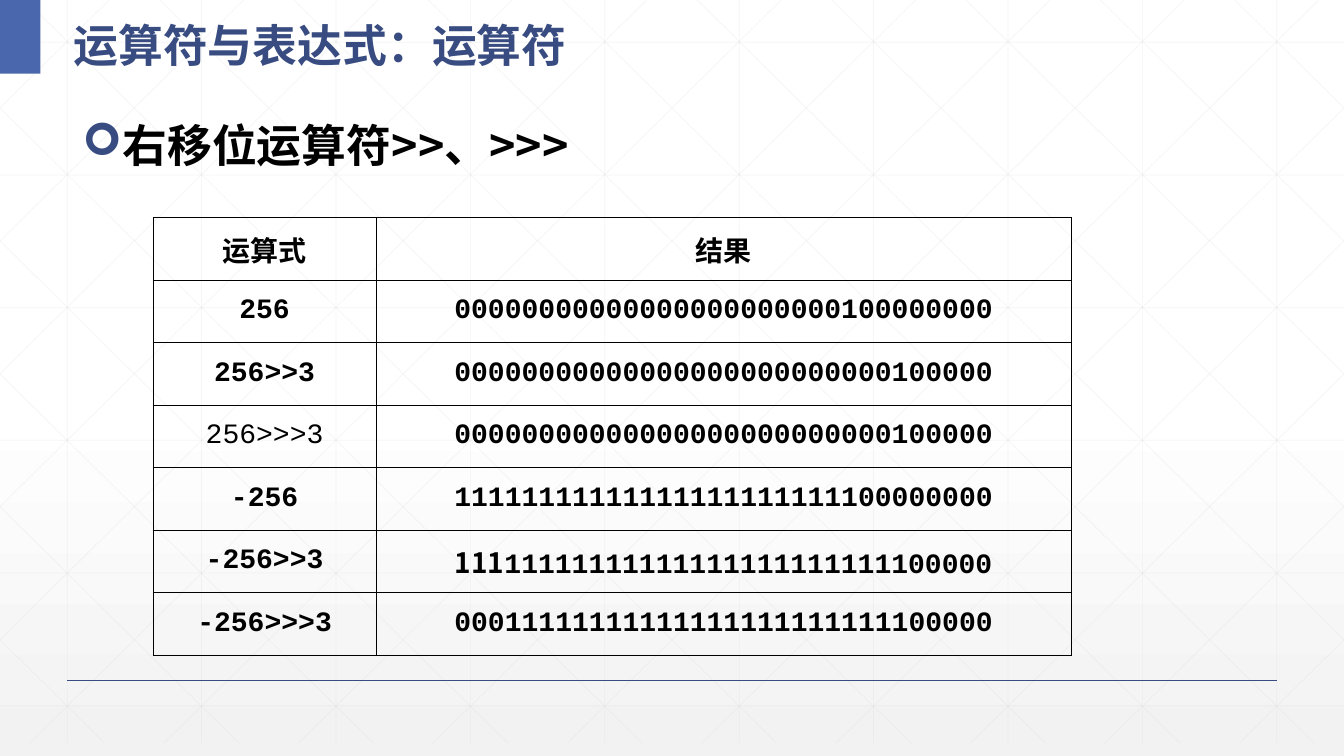
from lxml import etree
from pptx import Presentation
from pptx import util as u
from pptx.dml import color as clr
from pptx.enum import shapes, text
from pptx.oxml import ns

# The slide is a grid of 100 columns by 100 rows
WIDE, HIGH = u.Inches(13.33), u.Inches(7.5)
HUES = {"navy": "384C81", "blue": "4A66AC", "black": "000000",
        "white": "FFFFFF", "pale": "F2F2F2", "mesh": "D9D9D9"}
SANS, MONO = "Noto Sans CJK SC", "Courier New"
FOOT = 98.3  # row where the mesh ends
ROWS = [
    ("运算式", "结果"),
    ("256", "00000000000000000000000100000000"),
    ("256>>3", "00000000000000000000000000100000"),
    ("256>>>3", "00000000000000000000000000100000"),
    ("-256", "11111111111111111111111100000000"),
    ("-256>>3", "11111111111111111111111111100000"),
    ("-256>>>3", "00011111111111111111111111100000"),
]


def col(n):
    return int(WIDE * n / 100)


def row(n):
    return int(HIGH * n / 100)


def hue(name):
    return clr.RGBColor.from_string(HUES[name])


def add(parent, tag, **attrs):
    node = etree.SubElement(parent, ns.qn(tag))
    for key, val in attrs.items():
        node.set(key, str(val))
    return node


def style(run, size, face, tint="black", bold=True):
    font = run.font
    font.size, font.name, font.bold = u.Pt(size), face, bold
    font.color.rgb = hue(tint)
    add(run._r.get_or_add_rPr(), "a:ea", typeface=face)


def draw_line(slide, x1, y1, x2, y2, tint, width, alpha=None):
    line = slide.shapes.add_connector(
        shapes.MSO_CONNECTOR.STRAIGHT, col(x1), row(y1), col(x2), row(y2))
    line.line.color.rgb = hue(tint)
    line.line.width = u.Pt(width)
    if alpha:
        shade = line._element.spPr.find(".//" + ns.qn("a:srgbClr"))
        add(shade, "a:alpha", val=alpha * 1000)
    add(line._element.spPr, "a:effectLst")


def draw_mesh(slide):
    lines = [(5 + 10 * k, 0, 5 + 10 * k, FOOT) for k in range(10)]
    lines += [(0, 5.6 + 17.55 * k, 100, 5.6 + 17.55 * k) for k in range(6)]
    # Diagonals, cut at the slide's sides, each with its mirror
    run = 55.9
    slope = FOOT / run
    for k in range(-5, 10):
        top = 1.88 + 10 * k
        x1, x2 = max(top, 0), min(top + run, 100)
        y1, y2 = (x1 - top) * slope, (x2 - top) * slope
        lines += [(x1, y1, x2, y2), (100 - x1, y1, 100 - x2, y2)]
    for ends in lines:
        draw_line(slide, *ends, "mesh", 0.5, 25)


def paint_back(slide):
    fill = slide.background.fill
    fill.gradient()
    fill.gradient_angle = 270
    for stop, spot, tint in zip(fill.gradient_stops, (0.53, 1), ("white", "pale")):
        stop.position, stop.color.rgb = spot, hue(tint)


def add_text(slide, x, y, w, h, words, tint, anchor):
    box = slide.shapes.add_textbox(col(x), row(y), col(w), row(h))
    frame = box.text_frame
    frame.word_wrap = True
    frame.vertical_anchor = anchor
    frame.text = words
    para = frame.paragraphs[0]
    style(para.runs[0], 32, SANS, tint)
    return para


def add_bullet(para, mark, tint):
    props = para._p.get_or_add_pPr()
    inset = u.Inches(0.25)
    props.set("marL", str(inset))
    props.set("indent", str(-inset))
    add(add(props, "a:buClr"), "a:srgbClr", val=HUES[tint])
    add(props, "a:buFont", typeface="Wingdings")
    add(props, "a:buChar", char=mark)


def add_edges(cell):
    props = cell._tc.get_or_add_tcPr()
    for side in ("a:lnL", "a:lnR", "a:lnT", "a:lnB"):
        edge = add(props, side, w=u.Pt(0.5))
        add(add(edge, "a:solidFill"), "a:srgbClr", val=HUES["black"])


def fill_cell(cell, words, face, bold, lead):
    add_edges(cell)
    cell.fill.background()
    cell.vertical_anchor = text.MSO_ANCHOR.MIDDLE
    para = cell.text_frame.paragraphs[0]
    para.alignment = text.PP_ALIGN.CENTER
    add(add(para._p.get_or_add_pPr(), "a:spcBef"), "a:spcPct", val=20000)
    # The leading digits of one result are set in the sans face
    for part, font in ((words[:lead], SANS), (words[lead:], face)):
        if part:
            run = para.add_run()
            run.text = part
            style(run, 20, font, bold=bold)


def add_grid(slide):
    wide, high = (16.58, 51.75), 8.27
    grid = slide.shapes.add_table(
        len(ROWS), 2, col(11.4), row(28.8),
        col(sum(wide)), row(high * len(ROWS))).table
    grid.first_row = grid.horz_banding = False
    for c, span in enumerate(wide):
        grid.columns[c].width = col(span)
    for r, pair in enumerate(ROWS):
        grid.rows[r].height = row(high)
        for c, words in enumerate(pair):
            fill_cell(grid.cell(r, c), words, MONO if r else SANS,
                      words != "256>>>3", 3 if (r, c) == (5, 1) else 0)


def main():
    deck = Presentation()
    deck.slide_width, deck.slide_height = WIDE, HIGH
    slide = deck.slides.add_slide(deck.slide_layouts[6])

    # Backdrop
    paint_back(slide)
    draw_mesh(slide)
    draw_line(slide, 5, 90, 95, 90, "navy", 1)
    tab = slide.shapes.add_shape(
        shapes.MSO_SHAPE.RECTANGLE, 0, 0, col(3), row(9.75))
    tab.shadow.inherit = False
    tab.fill.solid()
    tab.fill.fore_color.rgb = hue("blue")
    tab.line.fill.background()

    # Title and heading
    title = add_text(slide, 4.73, 0, 42.7, 9.75, "运算符与表达式：运算符",
                     "navy", text.MSO_ANCHOR.MIDDLE)
    title.line_spacing = 1.3
    head = add_text(slide, 5.4, 14.93, 88, 73.6, "右移位运算符>>、>>>",
                    "black", text.MSO_ANCHOR.TOP)
    head.space_before = u.Pt(18)
    add_bullet(head, "➢", "navy")

    # Results table
    add_grid(slide)
    deck.save("out.pptx")


if __name__ == "__main__":
    main()
